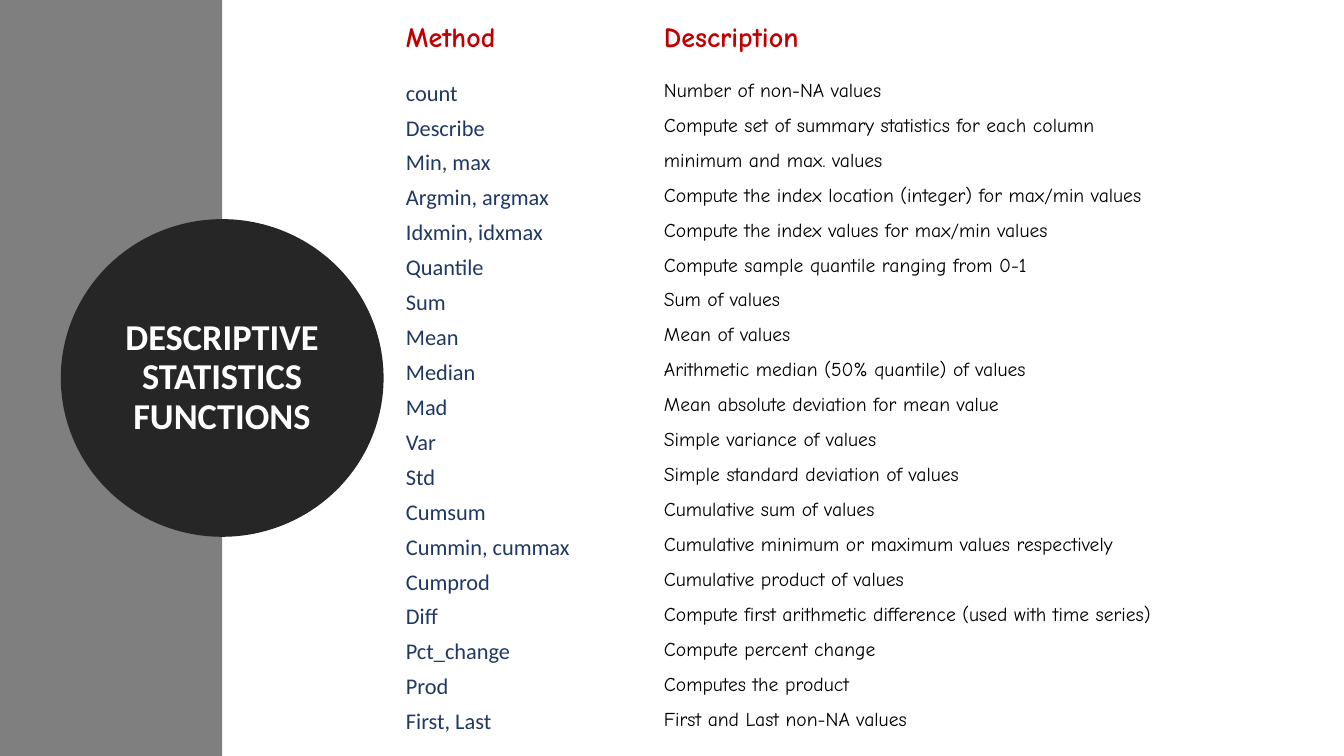
from pptx import Presentation
from pptx.dml.color import RGBColor
from pptx.enum.shapes import MSO_SHAPE
from pptx.enum.text import MSO_ANCHOR, PP_ALIGN
from pptx.util import Cm, Pt

RECTANGLE, OVAL = MSO_SHAPE.RECTANGLE, MSO_SHAPE.OVAL
MIDDLE, CENTER = MSO_ANCHOR.MIDDLE, PP_ALIGN.CENTER
GRAY = RGBColor(0x7F, 0x7F, 0x7F)
CHARCOAL = RGBColor(0x26, 0x26, 0x26)
WHITE = RGBColor(0xFF, 0xFF, 0xFF)
RED = RGBColor(0xC0, 0x00, 0x00)
NAVY = RGBColor(0x20, 0x38, 0x64)
BLACK = RGBColor(0x00, 0x00, 0x00)
SANS, COMIC = "Calibri", "Comic Neue"
HEADER_HEIGHT, ROW_HEIGHT = Cm(1.45), Cm(0.88)
METHOD_WIDTH = Cm(6.5)

HEADINGS = ("Method", "Description")
METHODS = [
    ("count", "Number of non-NA values"),
    ("Describe", "Compute set of summary statistics for each column"),
    ("Min, max", "minimum and max. values"),
    ("Argmin, argmax", "Compute the index location (integer) for max/min values"),
    ("Idxmin, idxmax", "Compute the index values for max/min values"),
    ("Quantile", "Compute sample quantile ranging from 0-1"),
    ("Sum", "Sum of values"),
    ("Mean", "Mean of values"),
    ("Median", "Arithmetic median (50% quantile) of values"),
    ("Mad", "Mean absolute deviation for mean value"),
    ("Var", "Simple variance of values"),
    ("Std", "Simple standard deviation of values"),
    ("Cumsum", "Cumulative sum of values"),
    ("Cummin, cummax", "Cumulative minimum or maximum values respectively"),
    ("Cumprod", "Cumulative product of values"),
    ("Diff", "Compute first arithmetic difference (used with time series)"),
    ("Pct_change", "Compute percent change"),
    ("Prod", "Computes the product"),
    ("First, Last", "First and Last non-NA values"),
]


def style_runs(paragraph, name, size, color, bold=False):
    """Format every run of a paragraph."""
    for run in paragraph.runs:
        run.font.name = name
        run.font.size = Pt(size)
        run.font.bold = bold
        run.font.color.rgb = color


def add_filled_shape(slide, kind, left, top, width, height, color):
    """Add a flat shape without an outline."""
    shape = slide.shapes.add_shape(kind, left, top, width, height)
    shape.shadow.inherit = False
    shape.fill.solid()
    shape.fill.fore_color.rgb = color
    shape.line.fill.background()
    return shape


def add_title_panel(slide, left, top, width, height):
    """Add the side band and the title circle centred on its right edge."""
    add_filled_shape(slide, RECTANGLE, left, top, width, height, GRAY)
    circle_width, circle_height = Cm(7.65), Cm(7.52)
    circle = add_filled_shape(
        slide, OVAL, left + width - circle_width // 2,
        top + (height - circle_height) // 2, circle_width, circle_height, CHARCOAL)
    circle.line.color.rgb = CHARCOAL
    circle.line.width = Pt(13.75)
    text_frame = circle.text_frame
    text_frame.text = "DESCRIPTIVE STATISTICS FUNCTIONS"
    text_frame.word_wrap = True
    text_frame.vertical_anchor = MIDDLE
    text_frame.margin_left = text_frame.margin_right = Cm(0.1)
    paragraph = text_frame.paragraphs[0]
    paragraph.alignment = CENTER
    paragraph.line_spacing = 0.9
    paragraph.space_after = Pt(6)
    style_runs(paragraph, SANS, 26, WHITE, True)


def fill_cell(cell, text, *font):
    """Write one unfilled table cell."""
    cell.fill.background()
    cell.margin_left = cell.margin_right = Cm(0.15)
    cell.margin_top = cell.margin_bottom = Cm(0.08)
    cell.text_frame.text = text
    style_runs(cell.text_frame.paragraphs[0], *font)


def add_method_table(slide, left, top, width):
    """Add the table of methods and their descriptions."""
    height = HEADER_HEIGHT + len(METHODS) * ROW_HEIGHT
    table = slide.shapes.add_table(
        len(METHODS) + 1, len(HEADINGS), left, top, width, height).table
    table.first_row = table.horz_banding = False
    table.columns[0].width = METHOD_WIDTH
    table.columns[1].width = width - METHOD_WIDTH
    table.rows[0].height = HEADER_HEIGHT
    for column, heading in enumerate(HEADINGS):
        fill_cell(table.cell(0, column), heading, COMIC, 20, RED, True)
    for row, (method, description) in enumerate(METHODS, start=1):
        table.rows[row].height = ROW_HEIGHT
        fill_cell(table.cell(row, 0), method, SANS, 16, NAVY)
        fill_cell(table.cell(row, 1), description, COMIC, 14, BLACK)


def main():
    """Build and save the slide."""
    presentation = Presentation()
    presentation.slide_width, presentation.slide_height = Cm(33.87), Cm(19.05)
    slide = presentation.slides.add_slide(presentation.slide_layouts[6])
    add_title_panel(slide, Cm(0), Cm(0), Cm(5.6), presentation.slide_height)
    add_method_table(slide, Cm(10.08), Cm(0.48), Cm(22.02))
    presentation.save("out.pptx")


if __name__ == "__main__":
    main()
